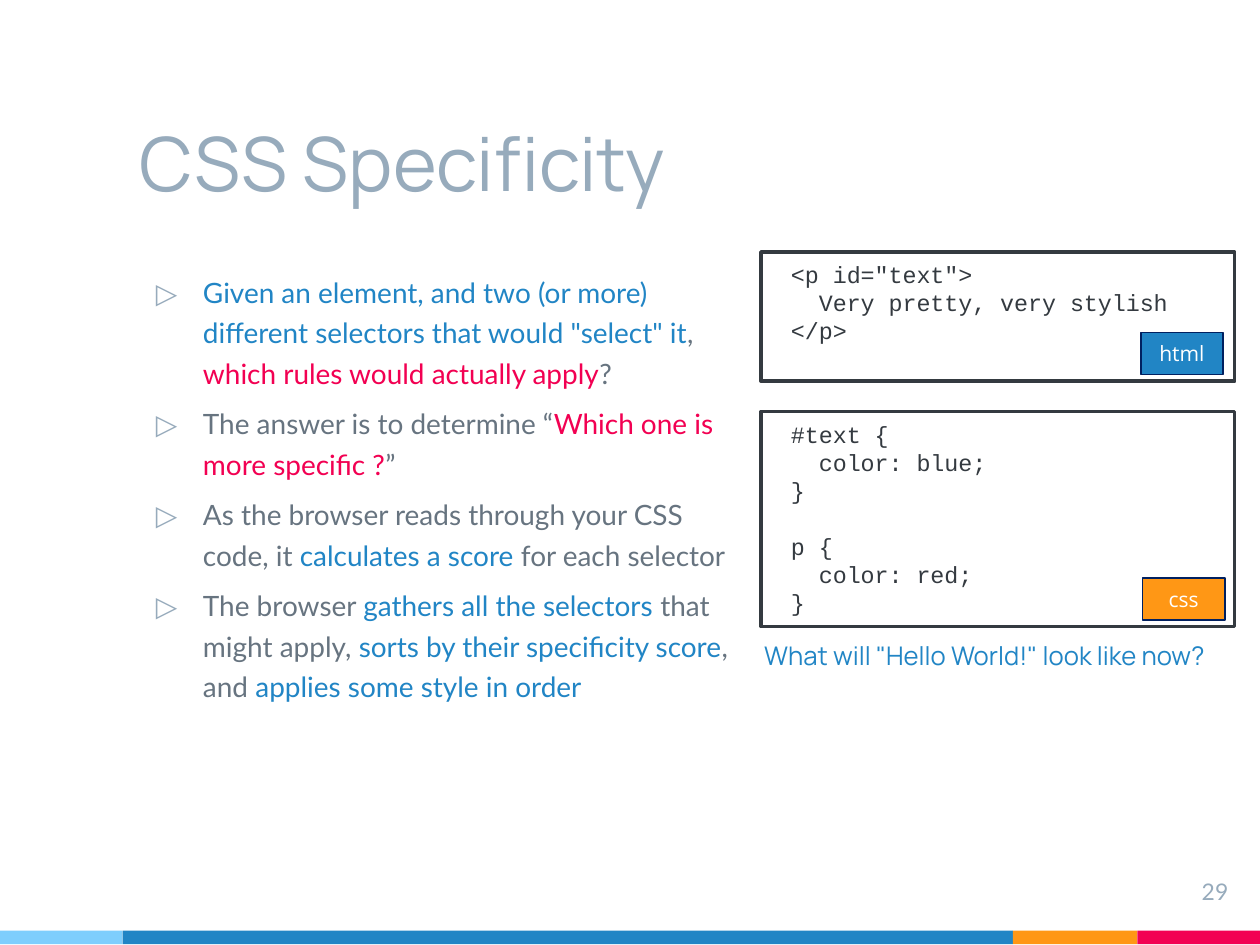
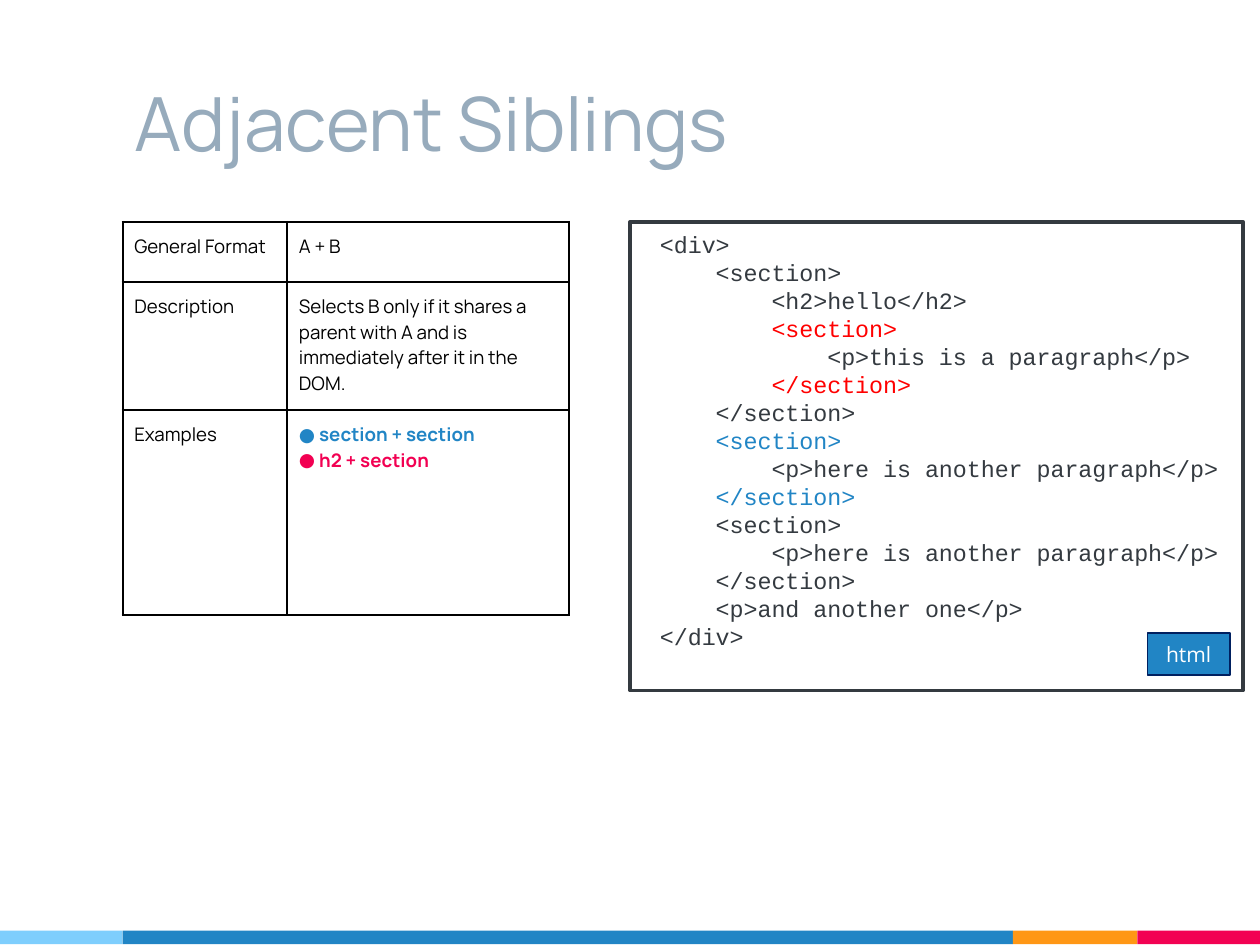
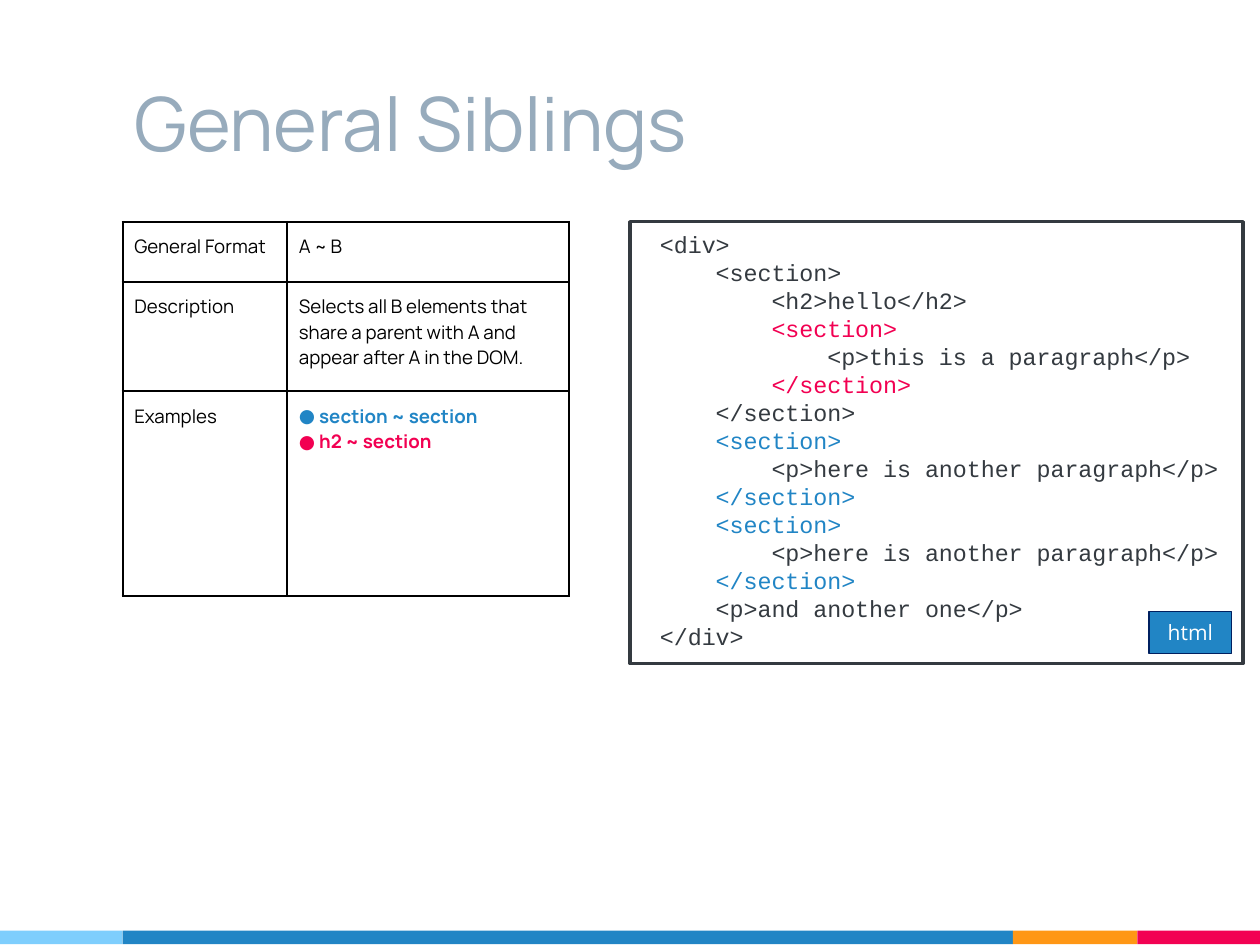
from dataclasses import dataclass

from lxml import etree
from pptx import Presentation, util as u
from pptx.dml.color import RGBColor
from pptx.enum import shapes, text
from pptx.oxml import ns


@dataclass(frozen=True)
class Theme:
    # Colours
    blue: str = "2185C5"
    sky: str = "7ECEFD"
    gold: str = "FF9715"
    rose: str = "F20253"
    pink: str = "F20052"
    red: str = "FF0000"
    slate: str = "97ABBC"
    gray: str = "677480"
    ink: str = "343A40"
    navy: str = "002060"
    black: str = "000000"
    white: str = "FFFFFF"
    # Fonts
    head: str = "Manrope"
    body: str = "Lato"
    mono: str = "Courier New"
    label: str = "Open Sans"
    # Type sizes
    title: float = 32
    text: float = 12
    ask: float = 11
    code: float = 10
    page: float = 9.8
    tag: float = 9
    cell: float = 8


T = Theme()
WIDE = 7.5
HIGH = WIDE * 3 / 4
EDGE = 0.73


def rgb(color):
    return RGBColor.from_string(color)


def node(parent, tag, **attrs):
    return etree.SubElement(parent, ns.qn(tag), attrs)


def style(para, face, size, color, bold=None):
    font = para.font
    font.name, font.size, font.bold = face, u.Pt(size), bold
    font.color.rgb = rgb(color)


def indent(para, left, first=0.0):
    props = para._p.get_or_add_pPr()
    props.set("marL", str(u.Inches(left)))
    props.set("indent", str(u.Inches(first)))
    return props


def bullet(para, mark, face, color, left, first):
    props = indent(para, left, first)
    node(node(props, "a:buClr"), "a:srgbClr", val=color)
    node(props, "a:buFont", typeface=face)
    node(props, "a:buChar", char=mark)


def paras(frame, count):
    """Yield the first paragraph of a frame, then new ones up to count."""
    yield frame.paragraphs[0]
    for _ in range(count - 1):
        yield frame.add_paragraph()


class Deck:
    def __init__(self):
        self.prs = Presentation()
        self.prs.slide_width = u.Inches(WIDE)
        self.prs.slide_height = u.Inches(HIGH)
        self.slide = None

    def start(self, title, pad=0.07, anchor=text.MSO_ANCHOR.TOP):
        """Begin a slide with the shared bands and title."""
        self.slide = self.prs.slides.add_slide(self.prs.slide_layouts[6])
        left = 0
        for width, color in ((EDGE, T.sky), (5.3, T.blue),
                             (0.74, T.gold), (EDGE, T.rose)):
            self.rect(left, 5.54, width, 0.08, color)
            left += width
        frame = self.box(EDGE, 0.39, 6.22, 0.94, pad)
        frame.vertical_anchor = anchor
        self.line(frame, title, T.head, T.title, T.slate)

    def rect(self, x, y, w, h, fill=None, edge=None, weight=0.75):
        shape = self.slide.shapes.add_shape(
            shapes.MSO_SHAPE.RECTANGLE, *map(u.Inches, (x, y, w, h)))
        shape.shadow.inherit = False
        if fill:
            shape.fill.solid()
            shape.fill.fore_color.rgb = rgb(fill)
        else:
            shape.fill.background()
        if edge:
            shape.line.color.rgb = rgb(edge)
            shape.line.width = u.Pt(weight)
        else:
            shape.line.fill.background()
        return shape

    def box(self, x, y, w, h, pad=None):
        frame = self.slide.shapes.add_textbox(
            *map(u.Inches, (x, y, w, h))).text_frame
        frame.word_wrap = True
        if pad is not None:
            frame.margin_left = frame.margin_right = u.Inches(pad)
            frame.margin_top = frame.margin_bottom = u.Inches(pad)
        return frame

    def line(self, frame, words, face, size, color,
             align=text.PP_ALIGN.LEFT):
        para = frame.paragraphs[0]
        para.text, para.alignment = words, align
        style(para, face, size, color)

    def points(self, x, y, w, h, items):
        """Bulleted text; each item is a list of (words, colour) runs."""
        frame = self.box(x, y, w, h, 0.1)
        for i, para in enumerate(paras(frame, len(items))):
            para.line_spacing = 1.2
            if i:
                para.space_before = u.Pt(4.5)
            bullet(para, "▷", T.body, T.slate, 0.38, -0.28)
            style(para, T.body, T.text, T.gray)
            for words, color in items[i]:
                run = para.add_run()
                run.text = words
                run.font.color.rgb = rgb(color)

    def code(self, x, y, w, h, source, tints=None):
        """Framed code; tints maps line numbers to colours."""
        frame = self.rect(x, y, w, h, edge=T.ink, weight=1.5).text_frame
        frame.word_wrap = True
        frame.vertical_anchor = text.MSO_ANCHOR.TOP
        frame.auto_size = text.MSO_AUTO_SIZE.SHAPE_TO_FIT_TEXT
        rows, gaps = [], set()
        for num, row in enumerate(source.strip().split("\n"), 1):
            if row:
                rows.append((num, row))
            else:
                gaps.add(num + 1)
        for (num, row), para in zip(rows, paras(frame, len(rows))):
            para.text, para.alignment = row, text.PP_ALIGN.LEFT
            if num in gaps:
                para.space_before = u.Pt(12)
            indent(para, 0.08)
            style(para, T.mono, T.code, (tints or {}).get(num, T.ink))

    def tag(self, x, y, words, fill):
        frame = self.rect(x, y, 0.49, 0.25, fill, T.navy).text_frame
        frame.word_wrap = True
        frame.vertical_anchor = text.MSO_ANCHOR.TOP
        frame.auto_size = text.MSO_AUTO_SIZE.SHAPE_TO_FIT_TEXT
        self.line(frame, words, T.label, T.tag, T.white,
                  text.PP_ALIGN.CENTER)

    def cell(self, cell):
        """Give a cell its margins, thin black borders and no fill."""
        cell.margin_left = cell.margin_right = u.Inches(0.07)
        cell.margin_top = cell.margin_bottom = u.Inches(0.07)
        props = cell._tc.get_or_add_tcPr()
        for side in "LRTB":
            edge = node(props, "a:ln" + side, w=str(u.Pt(1)))
            node(node(edge, "a:solidFill"), "a:srgbClr", val=T.black)
        cell.fill.background()

    def table(self, form, about, samples, middle):
        cols, rows = (0.98, 1.68), (0.36, middle, 1.22)
        grid = self.slide.shapes.add_table(
            len(rows), len(cols), u.Inches(EDGE), u.Inches(1.32),
            u.Inches(sum(cols)), u.Inches(sum(rows))).table
        grid.first_row = grid.horz_banding = False
        for col, width in zip(grid.columns, cols):
            col.width = u.Inches(width)
        for row, height in zip(grid.rows, rows):
            row.height = u.Inches(height)
        for cell in grid.iter_cells():
            self.cell(cell)
        facts = (("General Format", form), ("Description", about),
                 ("Examples", None))
        for r, pair in enumerate(facts):
            for c, words in enumerate(pair):
                if words:
                    self.line(grid.cell(r, c).text_frame, words,
                              T.head, T.cell, T.black)
        frame = grid.cell(2, 1).text_frame
        for (words, color), para in zip(samples, paras(frame, len(samples))):
            para.text = words
            bullet(para, "●", T.head, color, 0.12, -0.16)
            style(para, T.head, T.cell, color, True)

    def sibling(self, title, sign, about, middle, tints, height, spot):
        """A selector slide: facts on the left, markup on the right."""
        self.start(title)
        self.table(f"A {sign} B", about,
                   ((f"section {sign} section", T.blue),
                    (f"h2 {sign} section", T.pink)), middle)
        self.code(3.75, 1.32, 3.65, height, DOM, tints)
        self.tag(*spot, "html", T.blue)


DOM = """
<div>
    <section>
        <h2>hello</h2>
        <section>
            <p>this is a paragraph</p>
        </section>
    </section>
    <section>
        <p>here is another paragraph</p>
    </section>
    <section>
        <p>here is another paragraph</p>
    </section>
    <p>and another one</p>
</div>
"""

HTML = """
<p id="text">
  Very pretty, very stylish
</p>
"""

CSS = """
#text {
  color: blue;
}

p {
  color: red;
}
"""

POINTS = [
    [('Given an element, and two (or more) different selectors that would '
      '"select" it', T.blue), (", ", T.gray),
     ("which rules would actually apply", T.pink), ("?", T.gray)],
    [("The answer is to determine “", T.gray),
     ("Which one is more specific ?", T.pink), ("”", T.gray)],
    [("As the browser reads through your CSS code, it ", T.gray),
     ("calculates a score ", T.blue), ("for each selector", T.gray)],
    [("The browser ", T.gray), ("gathers all the selectors ", T.blue),
     ("that might apply, ", T.gray),
     ("sorts by their specificity score", T.blue), (", and ", T.gray),
     ("applies some style in order", T.blue)],
]


def main():
    deck = Deck()

    # Specificity
    deck.start("CSS Specificity", 0.1, text.MSO_ANCHOR.BOTTOM)
    deck.points(EDGE, 1.5, 3.71, 3.88, POINTS)
    deck.line(deck.box(6.96, 5.14, 0.45, 0.34, 0.1), "29",
              T.body, T.page, T.slate, text.PP_ALIGN.RIGHT)
    deck.code(4.53, 1.5, 2.82, 0.77, HTML)
    deck.code(4.53, 2.45, 2.82, 1.28, CSS)
    deck.line(deck.box(4.45, 3.76, 2.95, 0.29),
              'What will "Hello World!" look like now?',
              T.head, T.ask, T.blue)
    deck.tag(6.79, 1.98, "html", T.blue)
    deck.tag(6.8, 3.44, "css", T.gold)

    # Sibling selectors
    deck.sibling(
        "Adjacent Siblings", "+",
        "Selects B only if it shares a parent with A and is immediately "
        "after it in the DOM.", 0.76,
        {4: T.red, 6: T.red, 8: T.blue, 10: T.blue}, 2.79, (6.83, 3.77))
    deck.sibling(
        "General Siblings", "~",
        "Selects all B elements that share a parent with A and appear "
        "after A in the DOM.", 0.65,
        {4: T.pink, 6: T.pink, **dict.fromkeys((8, 10, 11, 13), T.blue)},
        2.63, (6.84, 3.64))

    deck.prs.save("out.pptx")


if __name__ == "__main__":
    main()
